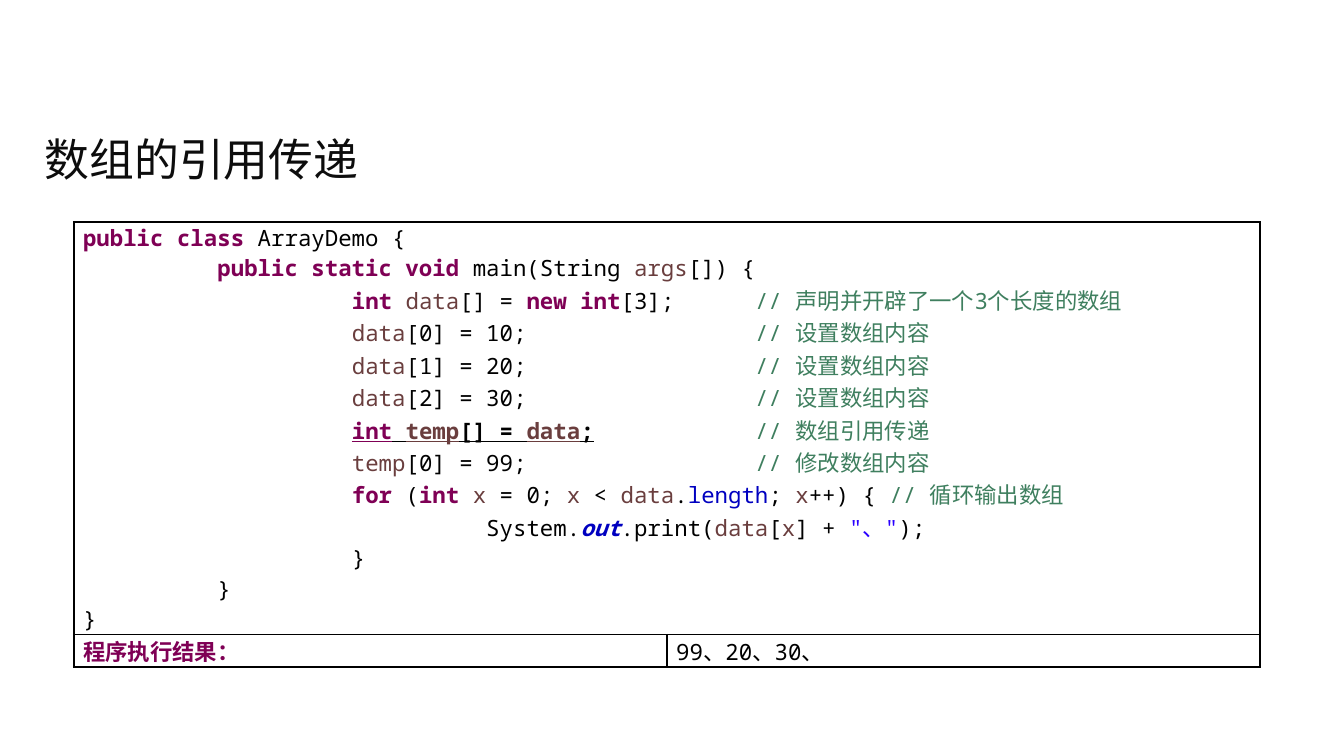
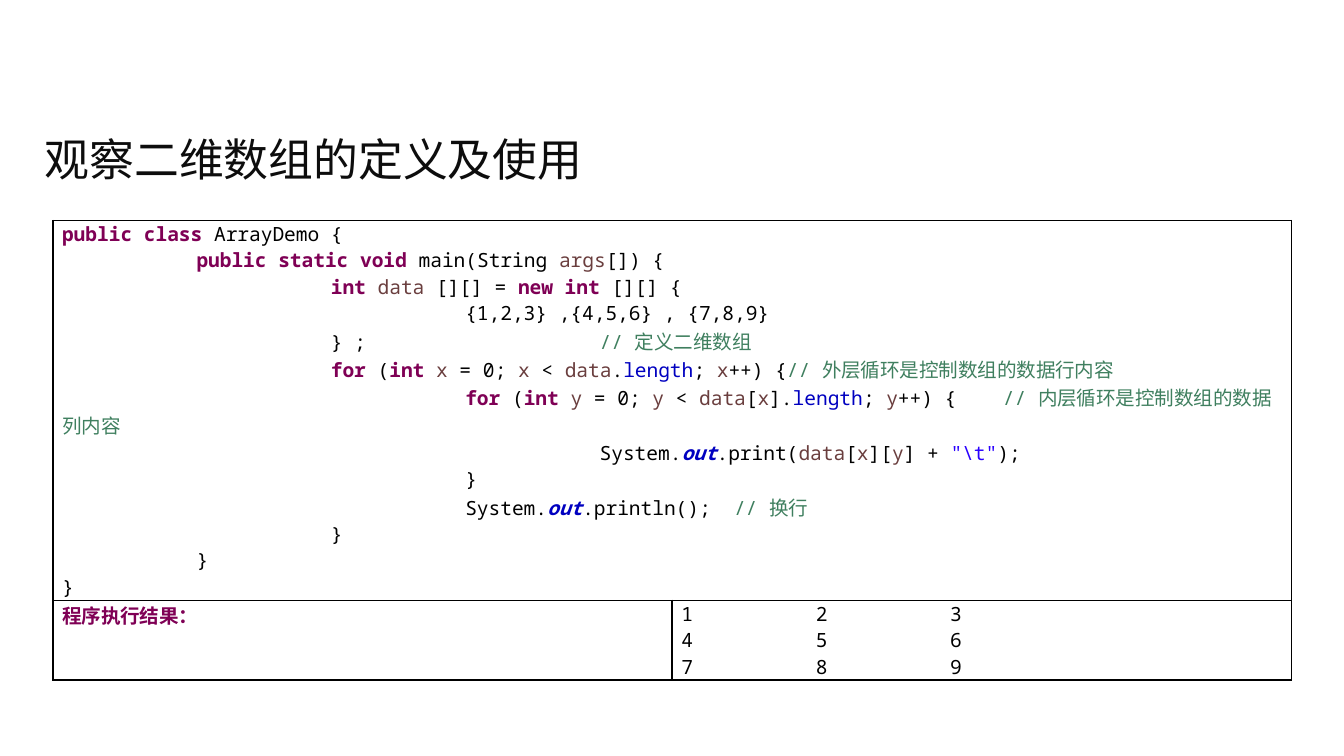
from lxml.etree import SubElement as Sub
from pptx import Presentation as Deck
from pptx.dml.color import RGBColor as Rgb
from pptx.enum.text import MSO_ANCHOR as Anchor
from pptx.oxml.ns import qn
from pptx.util import Pt

HUES = {
    "title": "0D0D0D",
    "plain": "000000",
    "key": "7F0055",
    "name": "6A3E3E",
    "field": "0000C0",
    "text": "2A00FF",
    "note": "3F7F5F",
}
SANS, MONO = "Noto Sans CJK SC", "Noto Sans Mono"
TAB, STOPS = 72, 8

# Mark: hue, bold, italic, underline
MARKS = {
    "p": ("plain", False, False, False),
    "k": ("key", True, False, False),
    "n": ("name", False, False, False),
    "f": ("field", False, False, False),
    "s": ("text", False, False, False),
    "c": ("note", False, False, False),
    "o": ("field", True, True, False),
    "P": ("plain", True, False, True),
    "K": ("key", True, False, True),
    "N": ("name", True, False, True),
}


# Code lines: parts are split by "|", and each part starts with its mark
def loop(var, limit):
    return (f"kfor|p (|kint |n{var}|p = 0; |n{var}|p < |{limit}"
            f"|flength|p; |n{var}|p++) {{")


def store(name, index, value, note):
    return f"p\t\t|n{name}|p[{index}] = {value};\t\t|c// {note}"


HEAD = [
    "kpublic class|p ArrayDemo {",
    "p\t|kpublic static void|p main(String |nargs|p[]) {",
]
TAIL = ["p\t\t}", "p\t}", "p}"]
LABEL = ["k程序执行结果："]

PASS = HEAD + [
    "p\t\t|kint |ndata|p[] = |knew int|p[3];\t|c// 声明并开辟了一个3个长度的数组",
    *(store("data", i, 10 * (i + 1), "设置数组内容") for i in range(3)),
    "p\t\t|Kint|P |Ntemp|P[] = |Ndata|P;|p\t\t|c// 数组引用传递",
    store("temp", 0, 99, "修改数组内容"),
    "p\t\t|" + loop("x", "ndata|p.") + "\t|c// 循环输出数组",
    'p\t\t\tSystem.|oout|p.print(|ndata|p[|nx|p] + |s"、"|p);',
] + TAIL

GRID = HEAD + [
    "p\t\t|kint |ndata|p [][] = |knew int|p [][] {",
    "p\t\t\t{1,2,3} ,{4,5,6} , {7,8,9}",
    "p\t\t} ;\t\t|c// 定义二维数组",
    "p\t\t|" + loop("x", "ndata|p.") + "|c// 外层循环是控制数组的数据行内容",
    "p\t\t\t|" + loop("y", "ndata|p[|nx|p].")
    + "\t|c// 内层循环是控制数组的数据列内容",
    'p\t\t\t\tSystem.|oout|p.print(|ndata|p[|nx|p][|ny|p] + |s"\\t"|p);',
    "p\t\t\t}",
    "p\t\t\tSystem.|oout|p.println();\t|c// 换行",
] + TAIL


def add_run(para, text, font, size, hue, bold=False, slant=False, under=False):
    run = para.add_run()
    run.text = text
    face = run.font
    face.size, face.name = Pt(size), font
    face.bold, face.italic, face.underline = bold, slant, under
    face.color.rgb = Rgb.from_string(HUES[hue])
    Sub(run._r.get_or_add_rPr(), qn("a:ea"), typeface=SANS)


def add_title(slide, text):
    box = slide.shapes.add_textbox(Pt(16.8), Pt(62), Pt(686), Pt(46))
    frame = box.text_frame
    frame.word_wrap = True
    frame.vertical_anchor = Anchor.MIDDLE
    add_run(frame.paragraphs[0], text, SANS, 24, "title")


def set_tabs(para):
    props = para._p.get_or_add_pPr()
    props.set("defTabSz", str(Pt(TAB)))
    tabs = Sub(props, qn("a:tabLst"))
    for i in range(1, STOPS + 1):
        Sub(tabs, qn("a:tab"), pos=str(Pt(TAB * i)), algn="l")


def add_lines(cell, lines, size):
    frame = cell.text_frame
    for i, line in enumerate(lines):
        para = frame.add_paragraph() if i else frame.paragraphs[0]
        set_tabs(para)
        for part in line.split("|"):
            add_run(para, part[1:], MONO, size, *MARKS[part[0]])


def style_cell(cell):
    cell.margin_left = cell.margin_right = Pt(5)
    cell.margin_top = cell.margin_bottom = 0
    props = cell._tc.get_or_add_tcPr()
    for side in "LRTB":
        line = Sub(props, qn(f"a:ln{side}"), w=str(Pt(1)))
        fill = Sub(line, qn("a:solidFill"))
        Sub(fill, qn("a:srgbClr"), val=HUES["plain"])
    cell.fill.background()


def add_code(slide, left, top, width, highs, size, code, result):
    table = slide.shapes.add_table(
        2, 2, Pt(left), Pt(top), Pt(width), Pt(sum(highs))).table
    table.first_row = table.horz_banding = False
    for row, high in zip(table.rows, highs):
        row.height = Pt(high)
    for cell in table.iter_cells():
        style_cell(cell)
    table.cell(0, 0).merge(table.cell(0, 1))
    add_lines(table.cell(0, 0), code, size)
    add_lines(table.cell(1, 0), LABEL, size)
    add_lines(table.cell(1, 1), result, size)


def main():
    deck = Deck()
    deck.slide_width, deck.slide_height = Pt(720), Pt(405)
    blank = deck.slide_layouts[6]

    # Passing an array by reference
    slide = deck.slides.add_slide(blank)
    add_title(slide, "数组的引用传递")
    add_code(slide, 39.5, 119, 635.5, (221, 17.5), 12, PASS, ["p99、20、30、"])

    # Two-dimensional array
    slide = deck.slides.add_slide(blank)
    add_title(slide, "观察二维数组的定义及使用")
    rows = [f"p{n}\t{n + 1}\t{n + 2}\t" for n in (1, 4, 7)]
    add_code(slide, 28.3, 118.2, 663.5, (203.5, 42.5), 10.5, GRID, rows)

    deck.save("out.pptx")


if __name__ == "__main__":
    main()
